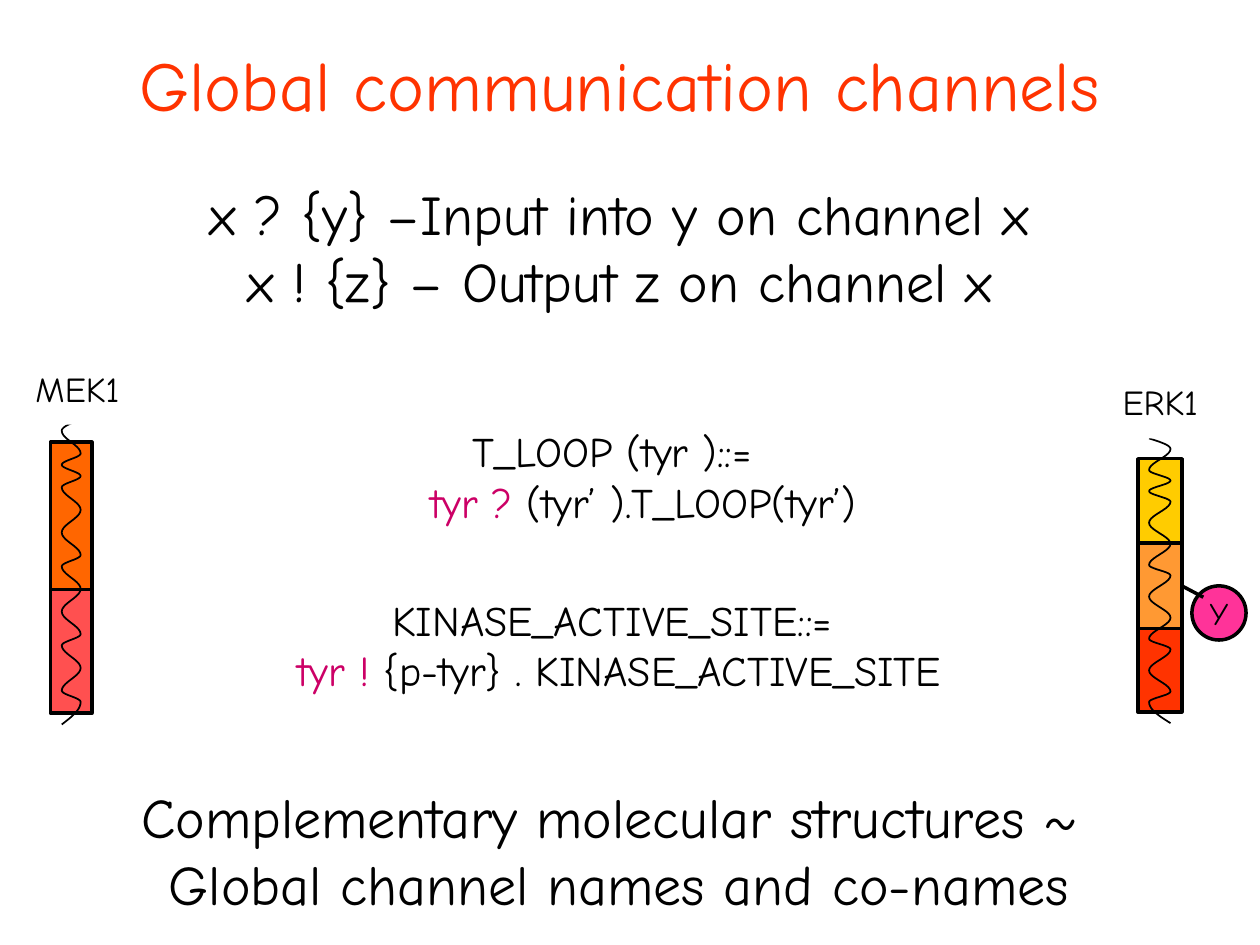
import math
from lxml import etree
from pptx import Presentation
from pptx.dml.color import RGBColor
from pptx.enum import shapes, text
from pptx.oxml.ns import qn
from pptx.util import Inches, Pt

COLOURS = {
    "title": "FF3300", "ink": "000000", "channel": "CC0066", "paper": "FFFFFF",
    "orange": "FF6600", "coral": "FF5050", "yellow": "FFCC00",
    "amber": "FF9933", "red": "FF3300", "pink": "FF3399",
}
FONT = "Comic Neue"
# Relative heights of the half turns of a helix, top to bottom
HALF_TURNS = (1, 2, 1, 1, 1, 2, 2, 2, 1, 2, 2, 2, 1, 2, 2, 1, 2)
STEPS = 10


class Painter:
    """Holds the style and the slide being drawn."""

    def __init__(self, page):
        self.page = page

    def colour(self, name):
        return RGBColor.from_string(COLOURS[name])

    def outline(self, line, width):
        line.color.rgb = self.colour("ink")
        line.width = Pt(width)

    def add_words(self, shape, lines, size, before=0, middle=True, wrap=False, hanging=0):
        """Fill one centred paragraph; each line is a list of (words, colour)."""
        frame = shape.text_frame
        frame.word_wrap = wrap
        frame.vertical_anchor = text.MSO_ANCHOR.MIDDLE if middle else text.MSO_ANCHOR.TOP
        para = frame.paragraphs[0]
        para.alignment = text.PP_ALIGN.CENTER
        para.space_before = Pt(before)
        if hanging:
            properties = para._p.get_or_add_pPr()
            properties.set("marL", str(Inches(hanging)))
            properties.set("indent", str(-Inches(hanging)))
        for number, spans in enumerate(lines):
            if number:
                para.add_line_break()
            for words, colour in spans:
                span = para.add_run()
                span.text = words
                span.font.name = FONT
                span.font.size = Pt(size)
                span.font.color.rgb = self.colour(colour)

    def text_box(self, left, top, width, height, lines, size, **style):
        box = self.page.shapes.add_textbox(
            Inches(left), Inches(top), Inches(width), Inches(height))
        self.add_words(box, lines, size, **style)

    def shape(self, kind, left, top, width, height, fill, line=2):
        shape = self.page.shapes.add_shape(
            kind, Inches(left), Inches(top), Inches(width), Inches(height))
        shape.shadow.inherit = False
        shape.fill.solid()
        shape.fill.fore_color.rgb = self.colour(fill)
        if line:
            self.outline(shape.line, line)
        else:
            shape.line.fill.background()
        return shape

    def domain(self, left, top, width, height, fill):
        return self.shape(shapes.MSO_SHAPE.RECTANGLE, left, top, width, height, fill)

    def label(self, left, top, width, name):
        box = self.shape(shapes.MSO_SHAPE.RECTANGLE, left, top, width, 0.58, "paper", 0)
        self.add_words(box, [[(name, "ink")]], 20, before=12.5)

    def helix(self, start, end, top, height):
        """A wave swinging between the x positions start and end."""
        unit = height / sum(HALF_TURNS)
        last = len(HALF_TURNS) - 1
        points = [(start, top)]
        y, x_from, x_to = top, start, end
        for turn, units in enumerate(HALF_TURNS):
            for step in range(1, STEPS + 1):
                part = step / STEPS
                if turn == 0:
                    swing = math.sin(part * math.pi / 2)
                elif turn == last:
                    swing = 1 - math.cos(part * math.pi / 2)
                else:
                    swing = (1 - math.cos(part * math.pi)) / 2
                points.append((x_from + (x_to - x_from) * swing, y + units * unit * part))
            y += units * unit
            x_from, x_to = x_to, x_from
        points = [(Inches(x), Inches(y)) for x, y in points]
        builder = self.page.shapes.build_freeform(*points[0])
        builder.add_line_segments(points[1:], close=False)
        wave = builder.convert_to_shape()
        wave.shadow.inherit = False
        wave.fill.background()
        self.outline(wave.line, 1)

    def bond(self, domain, x, y):
        """A line from the right side of a domain to a point."""
        line = self.page.shapes.add_connector(
            shapes.MSO_CONNECTOR.STRAIGHT, 0, 0, Inches(x), Inches(y))
        line.begin_connect(domain, 3)
        self.outline(line.line, 2)
        etree.SubElement(line._element.spPr, qn("a:effectLst"))


def main():
    deck = Presentation()
    deck.slide_width, deck.slide_height = Inches(10), Inches(7.5)
    painter = Painter(deck.slides.add_slide(deck.slide_layouts[6]))

    # Title, channel notation and conclusion
    painter.text_box(0, 0, 9.83, 1.33, [[("Global communication channels", "title")]],
                     40, wrap=True)
    painter.text_box(0.88, 1.17, 8.08, 1.58, [
        [("x ? {y} –Input into y on channel x", "ink")],
        [("x ! {z} – Output z on channel x", "ink")]], 32, before=20)
    painter.text_box(1.01, 6.16, 7.81, 1.17, [
        [("Complementary molecular structures ~ ", "ink")],
        [("Global channel names and co-names", "ink")]], 32, before=20, middle=False)

    # Process definitions
    painter.text_box(2.58, 3.33, 4.67, 1, [
        [("T_LOOP (tyr )::= ", "ink")],
        [("tyr ?", "channel"), (" (tyr’ ).T_LOOP(tyr’)", "ink")]],
        24, before=15, middle=False, wrap=True, hanging=0.38)
    painter.text_box(1.79, 4.67, 6.25, 0.83, [
        [("KINASE_ACTIVE_SITE::= ", "ink")],
        [("tyr !", "channel"), (" {p-tyr} . KINASE_ACTIVE_SITE", "ink")]],
        24, before=15, middle=False, wrap=True)

    # ERK1 protein with its tyrosine
    painter.domain(9.03, 4.97, 0.35, 0.68, "red")
    painter.domain(9.03, 3.64, 0.35, 0.68, "yellow")
    loop = painter.domain(9.03, 4.31, 0.35, 0.68, "amber")
    painter.helix(9.12, 9.29, 3.48, 2.26)
    painter.label(8.71, 2.9, 1, "ERK1")
    tyrosine = painter.shape(shapes.MSO_SHAPE.OVAL, 9.46, 4.65, 0.43, 0.43, "pink")
    painter.add_words(tyrosine, [[("Y", "ink")]], 18, before=11.2)
    painter.bond(loop, 9.55, 4.74)

    # MEK1 protein
    painter.domain(0.4, 4.68, 0.33, 0.98, "coral")
    painter.domain(0.4, 3.51, 0.33, 1.17, "orange")
    painter.helix(0.64, 0.49, 3.33, 2.42)
    painter.label(0.24, 2.79, 0.75, "MEK1")

    deck.save("out.pptx")


if __name__ == "__main__":
    main()
